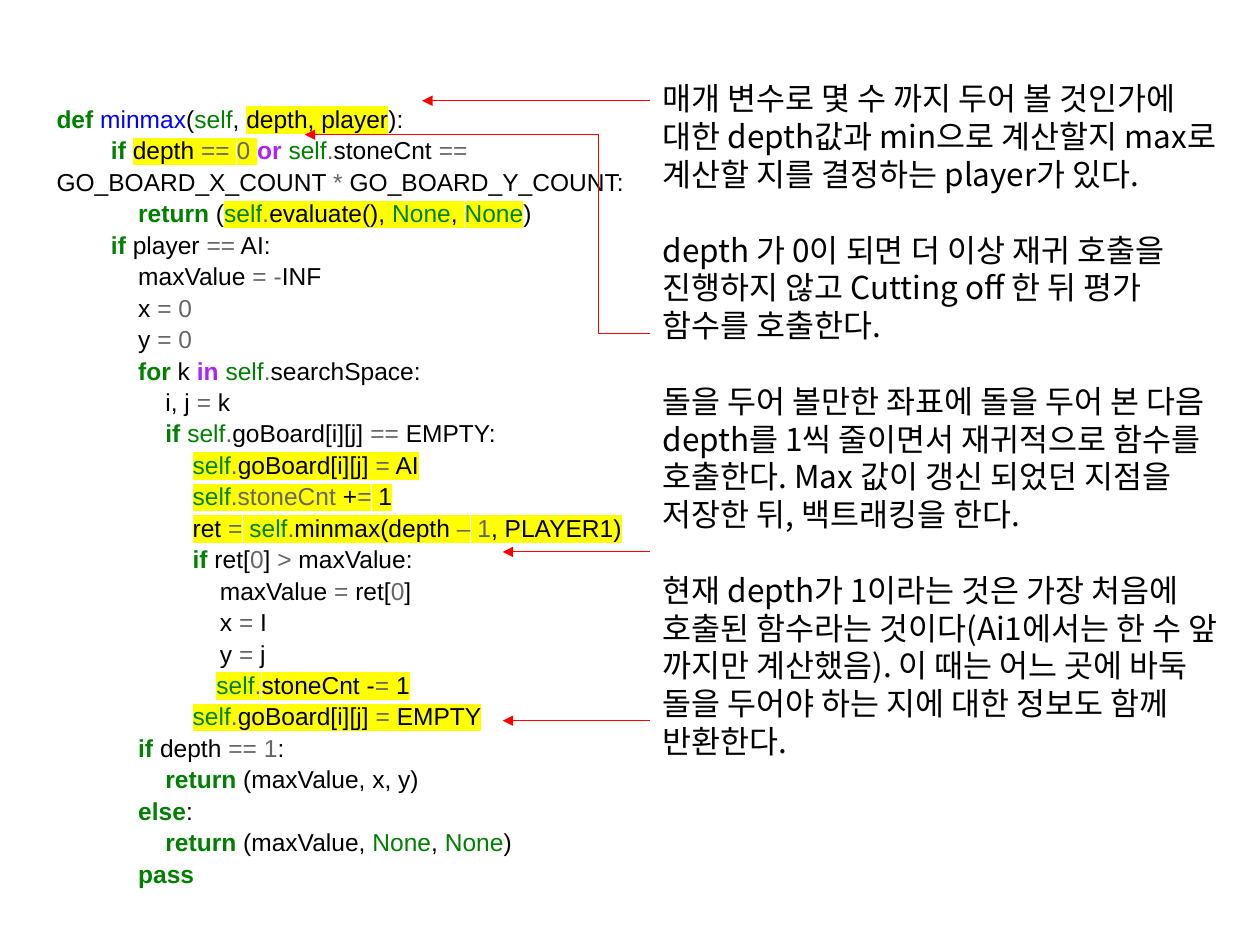
import pptx
import pptx.dml.color
import pptx.enum.shapes
import pptx.enum.text
import pptx.oxml
import pptx.oxml.ns
import pptx.util
from lxml import etree

Pt = pptx.util.Pt
qn = pptx.oxml.ns.qn

COLORS = {
    "text": "000000",
    "keyword": "008000",
    "self": "008000",
    "function": "0000FF",
    "logic": "AA22FF",
    "operator": "666666",
    "highlight": "FFFF00",
    "arrow": "FF0000",
}
BOLD_KINDS = ("keyword", "logic")
# Short token marks; a capital mark means the token is highlighted.
KINDS = {"t": "text", "k": "keyword", "s": "self", "f": "function", "l": "logic", "o": "operator"}
SPACE = 3.89  # width of one space at 14 pt

# (indent in spaces, tokens written as mark:text and parted by |)
CODE = [
    (0, "k:def |f:minmax|t:(|s:self|t:, |T:depth, player|t:):"),
    (8, "k:if |T:depth |O:==|T: |O:0|T: |l:or |s:self|o:.|t:stoneCnt |o:==|t: GO_BOARD_X_COUNT |o:*"
        "|t: GO_BOARD_Y_COUNT:"),
    (12, "k:return|t: (|S:self|O:.|T:evaluate(), |S:None|T:, |S:None|t:)"),
    (8, "k:if|t: player |o:==|t: AI:"),
    (12, "t:maxValue |o:= -|t:INF"),
    (12, "t:x |o:= 0"),
    (12, "t:y |o:= 0"),
    (12, "k:for|t: k |l:in |s:self|o:.|t:searchSpace:"),
    (16, "t:i, j |o:=|t: k"),
    (16, "k:if |s:self|o:.|t:goBoard[i][j] |o:==|t: EMPTY:"),
    (20, "S:self|O:.|T:goBoard[i][j] |O:=|T: AI"),
    (20, "S:self|O:.stoneCnt|T: +|O:=|T: 1"),
    (20, "T:ret |O:=|T: |S:self|O:.|T:minmax(depth |O:–|T: |O:1|T:, PLAYER1)"),
    (20, "k:if|t: ret[|o:0|t:] |o:> |t:maxValue:"),
    (24, "t:maxValue |o:=|t: ret[|o:0|t:]"),
    (24, "t:x |o:=|t: I"),
    (24, "t:y |o:=|t: j"),
    (23.5, "S:self|O:.|T:stoneCnt -|O:=|T: 1"),
    (20, "S:self|O:.|T:goBoard[i][j] |O:=|T: EMPTY"),
    (12, "k:if|t: depth |o:== 1|t::"),
    (16, "k:return|t: (maxValue, x, y)"),
    (12, "k:else|t::"),
    (16, "k:return|t: (maxValue, |s:None|t:, |s:None|t:)"),
    (12, "k:pass"),
]

NOTES = [
    "매개 변수로 몇 수 까지 두어 볼 것인가에 대한 depth값과 min으로 계산할지 max로 계산할 지를 결정하는 player가 있다.",
    "depth 가 0이 되면 더 이상 재귀 호출을 진행하지 않고 Cutting off 한 뒤 평가 함수를 호출한다.",
    "돌을 두어 볼만한 좌표에 돌을 두어 본 다음 depth를 1씩 줄이면서 재귀적으로 함수를 호출한다. "
    "Max 값이 갱신 되었던 지점을 저장한 뒤, 백트래킹을 한다.",
    "현재 depth가 1이라는 것은 가장 처음에 호출된 함수라는 것이다(Ai1에서는 한 수 앞 까지만 계산했음). "
    "이 때는 어느 곳에 바둑 돌을 두어야 하는 지에 대한 정보도 함께 반환한다.",
]
NOTES_LEFT = 371.5


class CodePage:
    """Style and current slide for a code listing with explanations."""

    code_font, code_size = "Arial", 14
    note_font, note_size = "Noto Sans CJK KR", 18
    line_pitch = 1.2
    code_stretch = 1.07

    def __init__(self, page):
        self.page = page

    def text_frame(self, left, top, width, height):
        box = self.page.shapes.add_textbox(Pt(left), Pt(top), Pt(width), Pt(height))
        box.text_frame.word_wrap = True
        return box.text_frame

    def format_span(self, span, font, size, kind="text", highlighted=False):
        span.font.name = font
        span.font.size = Pt(size)
        span.font.bold = kind in BOLD_KINDS
        span.font.color.rgb = pptx.dml.color.RGBColor.from_string(COLORS[kind])
        props = span.font._element
        if highlighted:
            mark = etree.Element(qn("a:highlight"))
            etree.SubElement(mark, qn("a:srgbClr")).set("val", COLORS["highlight"])
            props.find(qn("a:solidFill")).addnext(mark)
        east_asian = etree.Element(qn("a:ea"))
        east_asian.set("typeface", font)
        props.find(qn("a:latin")).addnext(east_asian)

    def code(self, lines, *area):
        frame = self.text_frame(*area)
        for number, (indent, tokens) in enumerate(lines):
            para = frame.add_paragraph() if number else frame.paragraphs[0]
            para.line_spacing = Pt(self.code_size * self.line_pitch * self.code_stretch)
            props = para._p.get_or_add_pPr()
            props.set("marL", "0")
            props.set("indent", str(int(Pt(indent * SPACE))))
            for token in tokens.split("|"):
                mark, _, text = token.partition(":")
                span = para.add_run()
                span.text = text
                self.format_span(span, self.code_font, self.code_size,
                                 KINDS[mark.lower()], mark.isupper())

    def notes(self, texts, *area):
        frame = self.text_frame(*area)
        pitch = Pt(self.note_size * self.line_pitch)
        for number, text in enumerate(texts):
            para = frame.add_paragraph() if number else frame.paragraphs[0]
            para.text = text
            para.line_spacing = pitch
            para.space_before = pitch if number else Pt(0)
            self.format_span(para.runs[0], self.note_font, self.note_size)

    def arrow(self, begin, end, bend=None):
        """Draw an arrow; bend is the share of the width before an elbow turns."""
        kinds = pptx.enum.shapes.MSO_CONNECTOR
        kind = kinds.STRAIGHT if bend is None else kinds.ELBOW
        line = self.page.shapes.add_connector(kind, *map(Pt, begin + end))
        line.line.width = Pt(0.5)
        line.line.color.rgb = pptx.dml.color.RGBColor.from_string(COLORS["arrow"])
        etree.SubElement(line.line._get_or_add_ln(), qn("a:tailEnd")).set("type", "triangle")
        shape_props = line._element.spPr
        etree.SubElement(shape_props, qn("a:effectLst"))
        if bend is not None:
            geometry = shape_props.find(qn("a:prstGeom"))
            guides = geometry.find(qn("a:avLst"))
            if guides is None:
                guides = etree.SubElement(geometry, qn("a:avLst"))
            guide = etree.SubElement(guides, qn("a:gd"))
            guide.set("name", "adj1")
            guide.set("fmla", f"val {round(bend * 100000)}")


def main():
    deck = pptx.Presentation()
    deck.slide_width, deck.slide_height = Pt(720), Pt(540)
    sheet = CodePage(deck.slides.add_slide(deck.slide_layouts[6]))
    sheet.code(CODE, 25.2, 54.7, 368.6, 496)
    sheet.notes(NOTES, NOTES_LEFT, 41.8, 334.8, 422)
    sheet.arrow((NOTES_LEFT, 190.8), (174.2, 77), bend=0.15)
    for y, tip in ((57.6, 241.2), (315.4, 287.3), (411.8, 287.3)):
        sheet.arrow((NOTES_LEFT, y), (tip, y))
    deck.save("out.pptx")


if __name__ == "__main__":
    main()
